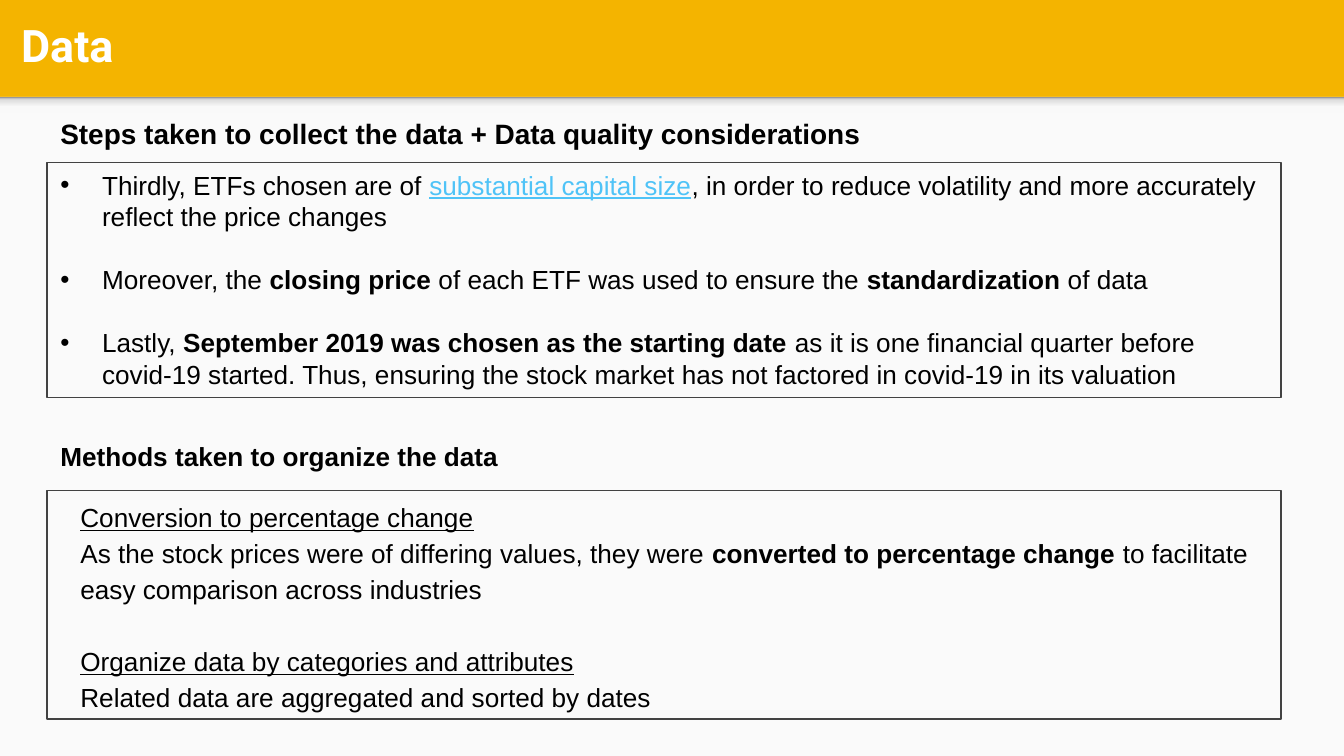
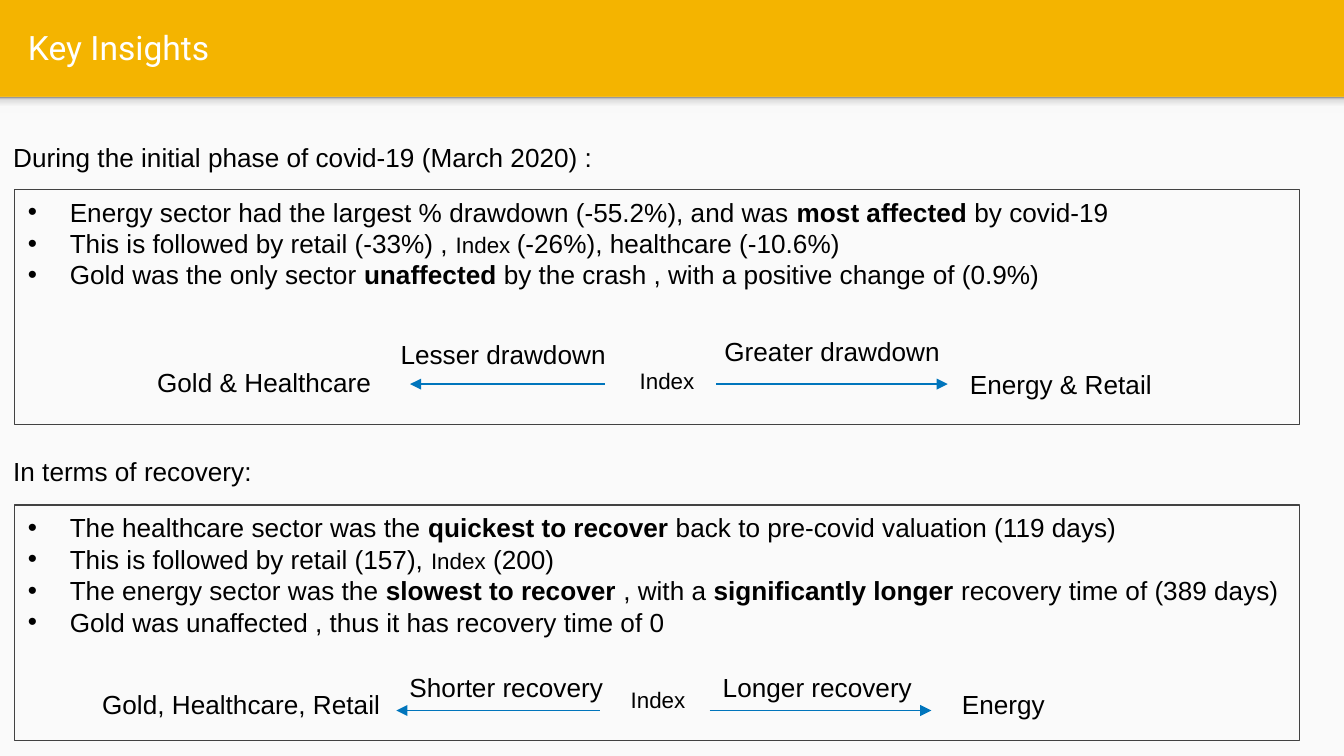
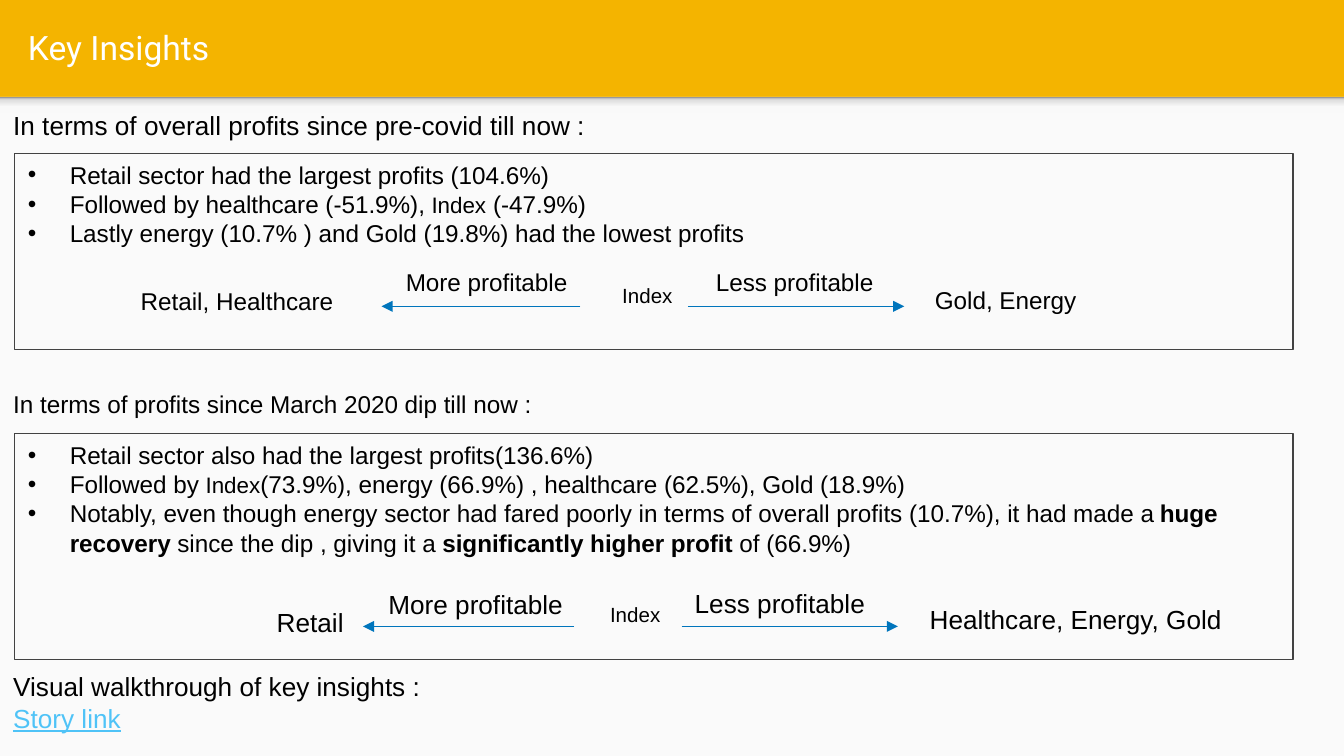
import dataclasses
import typing

import lxml.etree
import pptx
import pptx.dml.color
import pptx.enum.shapes
import pptx.enum.text
import pptx.oxml.ns
import pptx.util

Cm = pptx.util.Cm
Pt = pptx.util.Pt
qn = pptx.oxml.ns.qn

COLORS = {
    "band": "F4B400", "body": "FAFAFA", "title": "FFFFFF", "text": "000000",
    "frame": "424242", "arrow": "0075BC", "link": "4FC3F7",
}
SHADOW_STOPS = [(0, "F9F9F9"), (36, "F9F9F9"), (80, "DEDEDE"), (100, "999999")]
SLIDE_W, SLIDE_H, BAND_H = 25.4, 14.29, 1.83
LINE_H = 0.86

# Run formats
BOLD = {"bold": True}
UNDER = {"underline": True}
SMALL = {"size": Pt(12)}
LINK = {"underline": True, "color": "link"}

Run = typing.Union[str, tuple[str, dict]]


@dataclasses.dataclass
class Para:
    runs: list[Run]
    before: float = 0


@dataclasses.dataclass
class Text:
    paras: list[Para]
    x: float
    y: float
    w: float
    h: float = LINE_H
    size: float = 14
    fmt: dict = dataclasses.field(default_factory=dict)


@dataclasses.dataclass
class Panel(Text):
    bullets: bool = True
    indent: float = 0.79
    spacing: float = 1.0


@dataclasses.dataclass
class Arrow:
    x1: float
    x2: float
    y: float


@dataclasses.dataclass
class Page:
    title: Text
    items: list[typing.Union[Text, Arrow]]


def heading(text: str, x: float, y: float, size: float = 14, **fmt) -> Text:
    return Text([Para([text])], x, y, 22, size=size, fmt=fmt)


def label(text: str, x: float, y: float, w: float = 4.6, size: float = 14) -> Text:
    return Text([Para([text])], x, y, w, size=size)


def index_label(x: float, y: float, size: float) -> Text:
    return label("Index", x, y, 2, size)


# Drawing
def rgb(name: str) -> pptx.dml.color.RGBColor:
    return pptx.dml.color.RGBColor.from_string(COLORS[name])


def add_rect(slide, x: float, y: float, w: float, h: float):
    sp = slide.shapes.add_shape(pptx.enum.shapes.MSO_SHAPE.RECTANGLE,
                                Cm(x), Cm(y), Cm(w), Cm(h))
    sp.shadow.inherit = False
    sp.line.fill.background()
    return sp


def add_bullet(p) -> None:
    pPr = p._p.get_or_add_pPr()
    clr = lxml.etree.SubElement(pPr, qn("a:buClr"))
    lxml.etree.SubElement(clr, qn("a:srgbClr"), val=COLORS["text"])
    lxml.etree.SubElement(pPr, qn("a:buFont"), typeface="Arial")
    lxml.etree.SubElement(pPr, qn("a:buChar"), char="•")


def set_indent(p, left: float, first: float) -> None:
    pPr = p._p.get_or_add_pPr()
    pPr.set("marL", str(Cm(left)))
    pPr.set("indent", str(Cm(first)))


def fill_text(tf, text: Text) -> None:
    tf.word_wrap = True
    tf.vertical_anchor = pptx.enum.text.MSO_ANCHOR.TOP
    base = {"name": "Arial", "size": Pt(text.size), "color": "text", **text.fmt}
    for i, para in enumerate(text.paras):
        p = tf.paragraphs[0] if i == 0 else tf.add_paragraph()
        p.alignment = pptx.enum.text.PP_ALIGN.LEFT
        p.space_before = Pt(para.before)
        if isinstance(text, Panel):
            p.line_spacing = text.spacing
            set_indent(p, text.indent, -text.indent if text.bullets else 0)
            if text.bullets:
                add_bullet(p)
        for run in para.runs:
            words, fmt = (run, {}) if isinstance(run, str) else run
            r = p.add_run()
            r.text = words
            for key, value in {**base, **fmt}.items():
                if key == "color":
                    r.font.color.rgb = rgb(value)
                else:
                    setattr(r.font, key, value)


def draw_text(slide, text: Text):
    if isinstance(text, Panel):
        sp = add_rect(slide, text.x, text.y, text.w, text.h)
        sp.fill.background()
        sp.line.color.rgb = rgb("frame")
        sp.line.width = Pt(0.75)
    else:
        sp = slide.shapes.add_textbox(Cm(text.x), Cm(text.y), Cm(text.w), Cm(text.h))
    fill_text(sp.text_frame, text)
    return sp


def draw_arrow(slide, arrow: Arrow) -> None:
    cn = slide.shapes.add_connector(
        pptx.enum.shapes.MSO_CONNECTOR.STRAIGHT,
        Cm(arrow.x1), Cm(arrow.y), Cm(arrow.x2), Cm(arrow.y))
    cn.line.color.rgb = rgb("arrow")
    cn.line.width = Pt(0.75)
    spPr = cn.element.spPr
    lxml.etree.SubElement(spPr.find(qn("a:ln")), qn("a:tailEnd"), type="triangle")
    lxml.etree.SubElement(spPr, qn("a:effectLst"))


def draw_base(slide) -> None:
    slide.background.fill.solid()
    slide.background.fill.fore_color.rgb = rgb("band")
    body = add_rect(slide, 0, BAND_H, SLIDE_W, SLIDE_H - BAND_H)
    body.fill.solid()
    body.fill.fore_color.rgb = rgb("body")
    # Soft shadow under the title band, darkest at its top
    shade = add_rect(slide, 0, BAND_H, SLIDE_W, 0.3)
    shade.fill.gradient()
    shade.fill.gradient_angle = 90
    stops = shade.element.spPr.find(qn("a:gradFill")).find(qn("a:gsLst"))
    for gs in list(stops):
        stops.remove(gs)
    for pos, color in SHADOW_STOPS:
        gs = lxml.etree.SubElement(stops, qn("a:gs"), pos=str(pos * 1000))
        lxml.etree.SubElement(gs, qn("a:srgbClr"), val=color)


def draw_page(prs, page: Page) -> None:
    slide = prs.slides.add_slide(prs.slide_layouts[6])
    draw_base(slide)
    sp = draw_text(slide, page.title)
    sp.text_frame.vertical_anchor = pptx.enum.text.MSO_ANCHOR.MIDDLE
    for item in page.items:
        if isinstance(item, Arrow):
            draw_arrow(slide, item)
        else:
            draw_text(slide, item)


# Content
TITLE_FMT = {"name": "Roboto", "color": "title"}
INSIGHTS_TITLE = Text([Para(["Key Insights"])], 0.28, 0.05, 24.5, 1.68, 18, TITLE_FMT)

DATA = Page(
    Text([Para(["Data"])], 0.15, 0, 25.2, 1.68, 24, {**TITLE_FMT, **BOLD}),
    [
        heading("Steps taken to collect the data + Data quality considerations",
                0.89, 2.08, 15, **BOLD),
        Panel([
            Para(["Thirdly, ETFs chosen are of ", ("substantial capital size", LINK),
                  ", in order to reduce volatility and more accurately reflect "
                  "the price changes"]),
            Para(["Moreover, the ", ("closing price", BOLD),
                  " of each ETF was used to ensure the ", ("standardization", BOLD),
                  " of data"], 17),
            Para(["Lastly, ",
                  ("September 2019 was chosen as the starting date", BOLD),
                  " as it is one financial quarter before covid-19 started. Thus, "
                  "ensuring the stock market has not factored in covid-19 in its "
                  "valuation"], 17),
        ], 0.89, 3.07, 23.32, 4.45),
        Panel([
            Para([("Conversion to percentage change", UNDER)]),
            Para(["As the stock prices were of differing values, they were ",
                  ("converted to percentage change", BOLD),
                  " to facilitate easy comparison across industries"]),
            Para([("Organize data by categories and attributes", UNDER)], 19),
            Para(["Related data are aggregated and sorted by dates"]),
        ], 0.89, 9.27, 23.32, 4.32, bullets=False, indent=0.38, spacing=1.15),
        heading("Methods taken to organize the data", 0.89, 8.2, **BOLD),
    ])

DRAWDOWN = Page(INSIGHTS_TITLE, [
    heading("During the initial phase of covid-19 (March 2020) :", 0, 2.54),
    Panel([
        Para(["Energy sector had the largest % drawdown (-55.2%), and was ",
              ("most affected", BOLD), " by covid-19"]),
        Para(["This is followed by retail (-33%) , ", ("Index ", SMALL),
              "(-26%), healthcare (-10.6%)"]),
        Para(["Gold was the only sector ", ("unaffected", BOLD),
              " by the crash , with a positive change of (0.9%)"]),
    ], 0.28, 3.58, 24.28, 4.45),
    Arrow(11.43, 7.75, 7.26),
    Arrow(13.54, 17.91, 7.26),
    index_label(11.84, 6.81, 12),
    label("Energy & Retail", 18.08, 6.83),
    label("Gold & Healthcare", 2.72, 6.81, 4.78),
    label("Greater drawdown", 13.44, 6.22),
    label("Lesser drawdown", 7.32, 6.27),
    heading("In terms of recovery:", 0, 8.48),
    Panel([
        Para(["The healthcare sector was the ", ("quickest to recover", BOLD),
              " back to pre-covid valuation (119 days)"]),
        Para(["This is followed by retail (157), ", ("Index", SMALL), " (200)"]),
        Para(["The energy sector was the ", ("slowest to recover", BOLD),
              " , with a ", ("significantly longer", BOLD),
              " recovery time of (389 days)"]),
        Para(["Gold was unaffected , thus it has recovery time of 0"]),
    ], 0.28, 9.55, 24.28, 4.45),
    index_label(11.67, 12.85, 12),
    label("Energy", 17.93, 12.88),
    label("Gold, Healthcare, Retail", 1.68, 12.88, 6.02),
    label("Longer recovery", 13.41, 12.57),
    label("Shorter recovery", 7.49, 12.57),
    Arrow(11.33, 7.49, 13.43),
    Arrow(13.41, 17.6, 13.43),
])

PROFITS = Page(INSIGHTS_TITLE, [
    heading("In terms of overall profits since pre-covid till now :", 0, 1.95),
    Panel([
        Para(["Retail sector had the largest profits (104.6%)"]),
        Para(["Followed by healthcare (-51.9%), ", ("Index", SMALL), " (-47.9%)"]),
        Para(["Lastly energy (10.7% ) and Gold (19.8%) had the lowest profits"]),
    ], 0.28, 2.9, 24.16, 3.71, 13),
    index_label(11.51, 5.23, 11),
    label("Gold, Energy", 17.42, 5.26, size=13),
    label("Retail, Healthcare", 2.41, 5.28, size=13),
    label("Less profitable", 13.28, 4.93, size=13),
    label("More profitable", 7.42, 4.93, size=13),
    Arrow(10.97, 7.21, 5.79),
    Arrow(13, 17.09, 5.79),
    heading("In terms of profits since March 2020 dip till now :", 0, 7.24, 13),
    Panel([
        Para(["Retail sector also had the largest profits(136.6%)"]),
        Para(["Followed by ", ("Index", SMALL),
              "(73.9%), energy (66.9%) , healthcare (62.5%), Gold (18.9%)"]),
        Para(["Notably, even though energy sector had fared poorly in terms of "
              "overall profits (10.7%), it had made a ", ("huge recovery", BOLD),
              " since the dip , giving it a ",
              ("significantly higher profit", BOLD), " of (66.9%)"]),
    ], 0.28, 8.2, 24.16, 4.27, 13),
    index_label(11.28, 11.25, 11),
    label("Healthcare, Energy, Gold", 17.32, 11.28, 6.6),
    label("Retail", 4.98, 11.33, 2.03),
    label("Less profitable", 12.88, 10.97),
    label("More profitable", 7.09, 11),
    Arrow(10.85, 6.86, 11.84),
    Arrow(12.88, 16.97, 11.84),
    Text([Para(["Visual walkthrough of key insights :"]),
          Para([("Story link", LINK)])], 0, 12.55, 22, 1.45),
])


def main() -> None:
    prs = pptx.Presentation()
    prs.slide_width, prs.slide_height = Cm(SLIDE_W), Cm(SLIDE_H)
    for page in (DATA, DRAWDOWN, PROFITS):
        draw_page(prs, page)
    prs.save("out.pptx")


if __name__ == "__main__":
    main()
